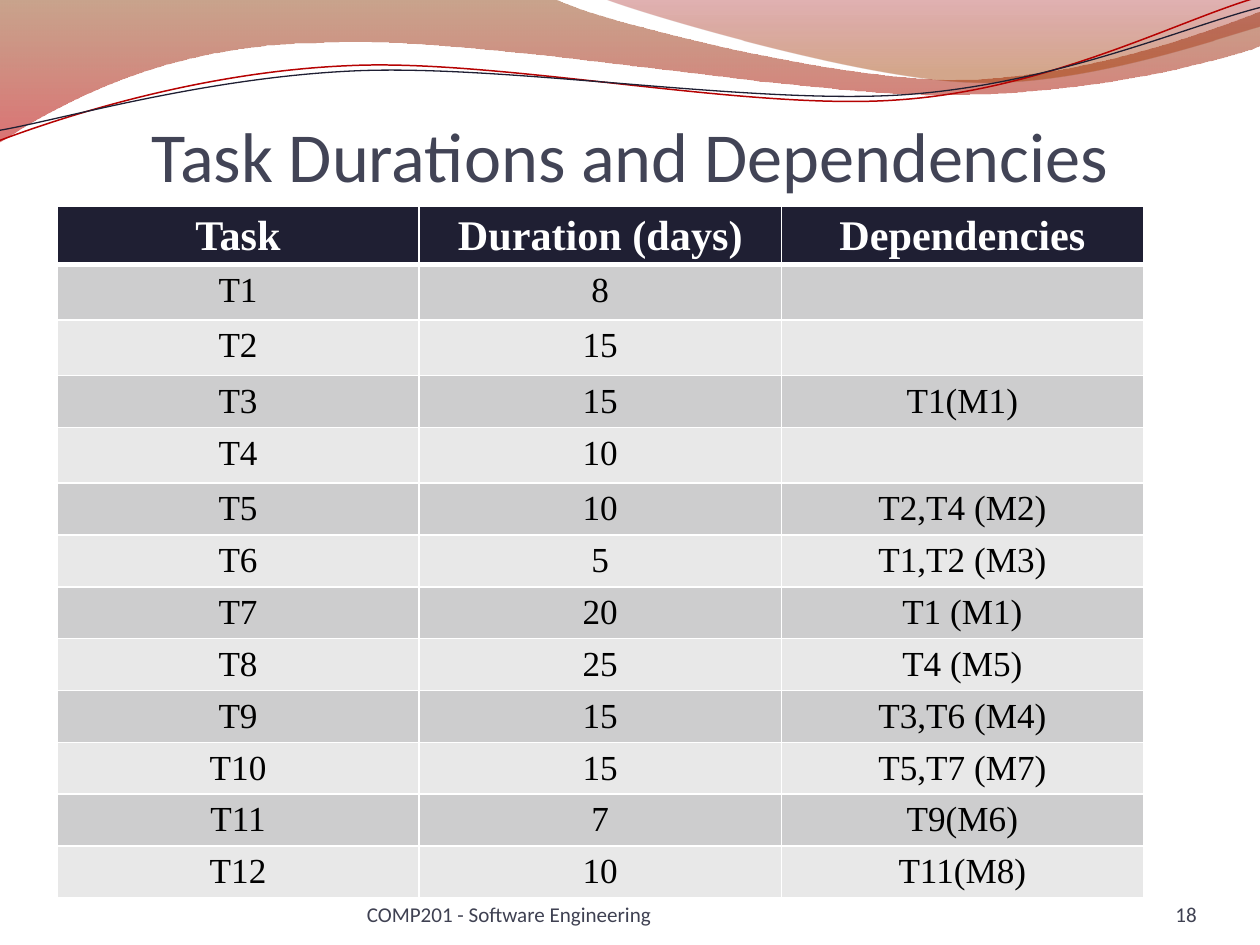
from dataclasses import dataclass
from typing import NamedTuple, Optional

from lxml.etree import SubElement
from pptx import Presentation
from pptx.dml.color import RGBColor as RGB
from pptx.enum.text import MSO_ANCHOR as Anchor, PP_ALIGN as Align
from pptx.oxml.ns import qn
from pptx.util import Inches, Pt


@dataclass(frozen=True)
class Theme:
    """Colours, fonts and type sizes of the slide."""
    navy: str = "1F1F33"
    white: str = "FFFFFF"
    black: str = "000000"
    title: str = "424456"
    footer: str = "3F4152"
    red_line: str = "B60202"
    bands: tuple = ("CDCDCE", "E8E8E8")
    sans: str = "Calibri"
    serif: str = "Times New Roman"
    title_size: int = 40
    head_size: int = 24
    body_size: int = 20
    footer_size: int = 12


class Stop(NamedTuple):
    """One gradient stop; position and opacity in percent."""
    position: int
    color: str
    opacity: int


class Wave(NamedTuple):
    """A curved outline: one point per step is a line, three are a Bezier curve."""
    start: tuple
    steps: list
    stops: tuple = ()
    color: str = ""
    width: float = 0


class Label(NamedTuple):
    """A single line of text in a box (left, top, width, height)."""
    text: str
    box: tuple
    size: int
    color: str
    align: Align
    top_inset: float = 0


class Task(NamedTuple):
    """A row of the task table."""
    name: str
    days: str
    depends: str = ""


T = Theme()

WAVES = [
    Wave((0, 0), [
        [(4.38, -0.01)],
        [(4.74, 0.17), (6.61, 0.63), (7.55, 0.63)],
        [(8.5, 0.63), (9.54, 0.26), (9.96, 0.09)],
        [(9.97, 0.36)],
        [(9.79, 0.44), (8.66, 0.76), (7.43, 0.75)],
        [(6.19, 0.75), (3.8, 0.28), (2.56, 0.34)],
        [(1.29, 0.35), (0.46, 0.83), (-0.01, 1.13)],
    ], stops=(Stop(0, "883400", 45), Stop(100, "BD0000", 55))),
    Wave((4.77, -0.01), [
        [(5.07, 0.11), (6.79, 0.62), (7.66, 0.65)],
        [(8.52, 0.69), (9.57, 0.32), (9.96, 0.21)],
        [(9.96, 0)],
    ], stops=(Stop(0, "9A0000", 30), Stop(80, "A23E00", 45))),
    Wave((0, 1.11), [
        [(0.48, 0.93), (1.57, 0.57), (2.75, 0.52)],
        [(3.94, 0.46), (5.9, 0.88), (7.1, 0.79)],
        [(8.29, 0.71), (9.34, 0.15), (9.94, -0.02)],
    ], color=T.red_line, width=0.85),
    Wave((0, 1.03), [
        [(0.47, 0.95), (1.63, 0.61), (2.82, 0.56)],
        [(4.01, 0.51), (5.95, 0.83), (7.14, 0.75)],
        [(8.33, 0.67), (9.37, 0.21), (9.96, 0.06)],
    ], color=T.navy, width=0.75),
]

LABELS = [
    Label("Task Durations and Dependencies", (0.5, 0.77, 8.96, 0.78),
          T.title_size, T.title, Align.CENTER, 0.05),
    Label("18", (8.63, 6.93, 0.83, 0.4), T.footer_size, T.footer, Align.RIGHT),
    Label("COMP201 - Software Engineering", (2.9, 6.93, 3.65, 0.4),
          T.footer_size, T.footer, Align.LEFT),
]

HEADER = Task("Task", "Duration (days)", "Dependencies")
TASKS = [
    Task("T1", "8"), Task("T2", "15"), Task("T3", "15", "T1(M1)"),
    Task("T4", "10"), Task("T5", "10", "T2,T4 (M2)"),
    Task("T6", "5", "T1,T2 (M3)"), Task("T7", "20", "T1 (M1)"),
    Task("T8", "25", "T4 (M5)"), Task("T9", "15", "T3,T6 (M4)"),
    Task("T10", "15", "T5,T7 (M7)"), Task("T11", "7", "T9(M6)"),
    Task("T12", "10", "T11(M8)"),
]
TABLE_LEFT, TABLE_TOP, TABLE_WIDTH = 0.45, 1.63, 8.59
HEAD_HEIGHT, OPEN_HEIGHT, ROW_HEIGHT = 0.46, 0.44, 0.41
CELL_BOTTOM = 0.01


def bend(sp, steps: list) -> None:
    """Turn each three line segments of a curved step into one Bezier curve."""
    segments = iter(list(sp._element.iter(qn("a:lnTo"))))
    for step in steps:
        lines = [next(segments) for _ in step]
        if len(lines) == 1:
            continue
        curve = lines[0].makeelement(qn("a:cubicBezTo"))
        lines[0].addprevious(curve)
        for line in lines:
            curve.append(line[0])
            line.getparent().remove(line)


def add_wave(s, wave: Wave) -> None:
    """Draw a wave as a gradient area or as a thin line."""
    builder = s.shapes.build_freeform(*map(Inches, wave.start))
    points = [(Inches(x), Inches(y)) for step in wave.steps for x, y in step]
    builder.add_line_segments(points, close=bool(wave.stops))
    sp = builder.convert_to_shape()
    bend(sp, wave.steps)
    sp.shadow.inherit = False
    if not wave.stops:
        sp.fill.background()
        sp.line.color.rgb = RGB.from_string(wave.color)
        sp.line.width = Pt(wave.width)
        return
    sp.line.fill.background()
    sp.fill.gradient()
    sp.fill.gradient_angle = 270
    for target, stop in zip(sp.fill.gradient_stops, wave.stops):
        target.position = stop.position / 100
        target.color.rgb = RGB.from_string(stop.color)
    for color, stop in zip(sp._element.spPr.iter(qn("a:srgbClr")), wave.stops):
        SubElement(color, qn("a:alpha"), val=str(stop.opacity * 1000))


def style_text(p, font: str, size: int, color: str, align: Align,
               bold: Optional[bool] = None) -> None:
    """Format a paragraph and its runs."""
    p.alignment = align
    for r in p.runs:
        r.font.name, r.font.size, r.font.bold = font, Pt(size), bold
        r.font.color.rgb = RGB.from_string(color)


def add_label(s, label: Label) -> None:
    """Add a text box whose text rests on its bottom edge."""
    tf = s.shapes.add_textbox(*map(Inches, label.box)).text_frame
    tf.word_wrap, tf.vertical_anchor = True, Anchor.BOTTOM
    tf.margin_left = tf.margin_right = tf.margin_bottom = 0
    tf.margin_top = Inches(label.top_inset)
    tf.text = label.text
    style_text(tf.paragraphs[0], T.sans, label.size, label.color, label.align)


def set_borders(cell, top: float, bottom: float) -> None:
    """Give a cell white borders; widths in points."""
    tc_pr = cell._tc.get_or_add_tcPr()
    for side, width in (("L", 1), ("R", 1), ("T", top), ("B", bottom)):
        ln = SubElement(tc_pr, qn(f"a:ln{side}"), w=str(Pt(width)))
        SubElement(SubElement(ln, qn("a:solidFill")), qn("a:srgbClr"), val=T.white)


def add_task_table(s) -> None:
    """Add the table with its header and banded task rows."""
    rows = [HEADER, *TASKS]
    heights = [HEAD_HEIGHT] + [ROW_HEIGHT if t.depends else OPEN_HEIGHT for t in TASKS]
    table = s.shapes.add_table(
        len(rows), len(HEADER), Inches(TABLE_LEFT), Inches(TABLE_TOP),
        Inches(TABLE_WIDTH), Inches(sum(heights))).table
    for i, (task, height) in enumerate(zip(rows, heights)):
        table.rows[i].height = Inches(height)
        head = i == 0
        fill = T.navy if head else T.bands[(i - 1) % 2]
        size, color = (T.head_size, T.white) if head else (T.body_size, T.black)
        for cell, text in zip(table.rows[i].cells, task):
            set_borders(cell, 3 if i == 1 else 1, 3 if head else 1)
            cell.margin_bottom = Inches(CELL_BOTTOM)
            cell.fill.solid()
            cell.fill.fore_color.rgb = RGB.from_string(fill)
            cell.text_frame.text = text
            style_text(cell.text_frame.paragraphs[0], T.serif, size, color,
                       Align.CENTER, head)


prs = Presentation()
prs.slide_width, prs.slide_height = Inches(9.96), Inches(7.47)
slide = prs.slides.add_slide(prs.slide_layouts[6])
for item in WAVES:
    add_wave(slide, item)
for item in LABELS:
    add_label(slide, item)
add_task_table(slide)
prs.save("out.pptx")
